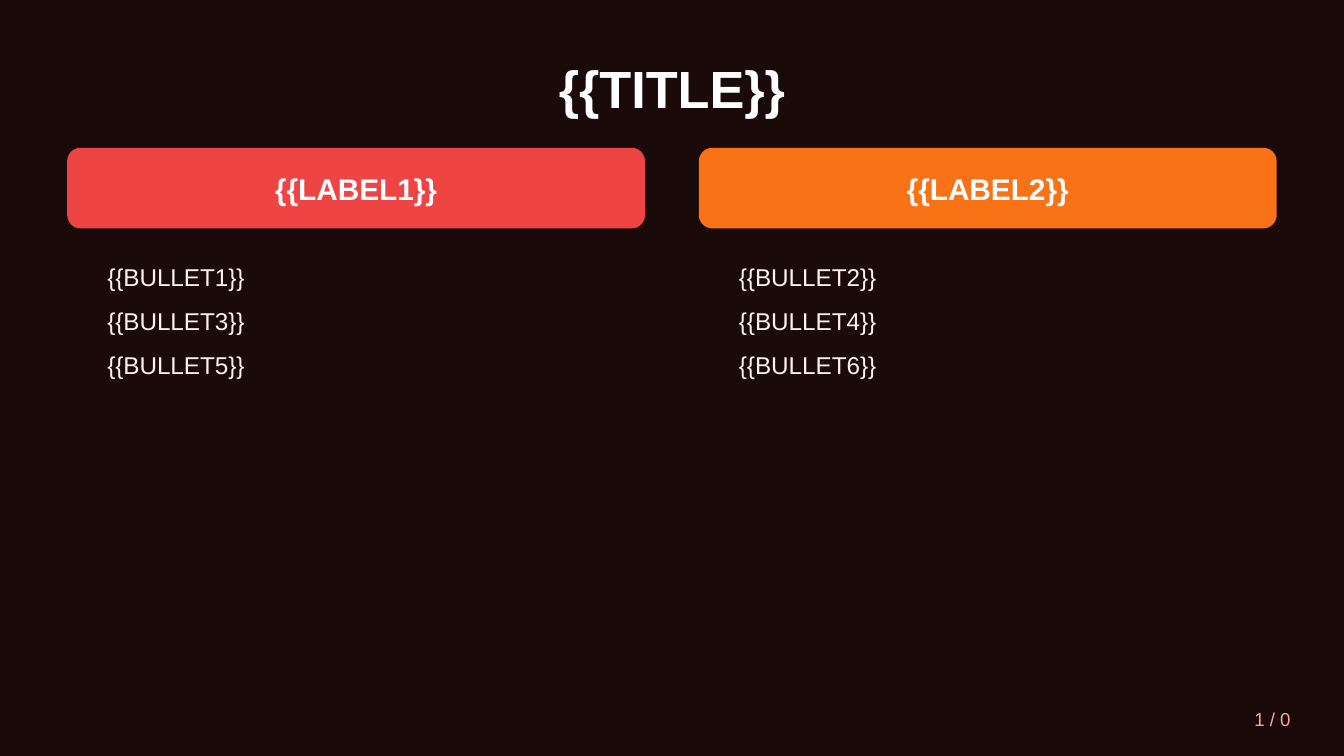
"""Build a two-column comparison slide with a title, labelled headers and lists."""
import pptx
import pptx.dml.color
import pptx.enum.shapes
import pptx.enum.text
import pptx.util

Pt = pptx.util.Pt
RGBColor = pptx.dml.color.RGBColor
Align = pptx.enum.text.PP_ALIGN
Anchor = pptx.enum.text.MSO_ANCHOR

BACKGROUND = RGBColor(0x1A, 0x0A, 0x0A)
WHITE = RGBColor(0xFF, 0xFF, 0xFF)
RED = RGBColor(0xEF, 0x44, 0x44)
ORANGE = RGBColor(0xF9, 0x73, 0x16)
PALE = RGBColor(0xFE, 0xF2, 0xF2)
PINK = RGBColor(0xFC, 0xA5, 0xA5)

TITLE = "{{TITLE}}"
COLUMNS = [
    ("{{LABEL1}}", RED, ["{{BULLET1}}", "{{BULLET3}}", "{{BULLET5}}"]),
    ("{{LABEL2}}", ORANGE, ["{{BULLET2}}", "{{BULLET4}}", "{{BULLET6}}"]),
]
PAGE_NUMBER = "1 / 0"

PAGE_WIDTH, PAGE_HEIGHT = 720, 405
MARGIN = 36
GUTTER = 28.8
INDENT = 14.4
CONTENT_WIDTH = PAGE_WIDTH - 2 * MARGIN
COLUMN_WIDTH = (CONTENT_WIDTH - GUTTER * (len(COLUMNS) - 1)) / len(COLUMNS)


def write(shape, lines, size, color, bold=False, align=Align.LEFT,
          anchor=Anchor.MIDDLE, space_after=0):
    """Fill a shape with one formatted paragraph per line."""
    frame = shape.text_frame
    frame.word_wrap = True
    frame.vertical_anchor = anchor
    for index, line in enumerate(lines):
        para = frame.add_paragraph() if index else frame.paragraphs[0]
        para.alignment = align
        para.space_after = Pt(space_after)
        span = para.add_run()
        span.text = line
        span.font.name = "Arial"
        span.font.size = Pt(size)
        span.font.bold = bold
        span.font.color.rgb = color


def add_text(page, lines, left, top, width, height, **style):
    """Place a text box on the page."""
    box = page.shapes.add_textbox(Pt(left), Pt(top), Pt(width), Pt(height))
    write(box, lines, **style)


def add_header(page, label, fill, left):
    """Place a rounded column header holding its label."""
    header = page.shapes.add_shape(
        pptx.enum.shapes.MSO_SHAPE.ROUNDED_RECTANGLE,
        Pt(left), Pt(79.2), Pt(COLUMN_WIDTH), Pt(43.2))
    header.shadow.inherit = False
    header.fill.solid()
    header.fill.fore_color.rgb = fill
    header.line.fill.background()
    write(header, [label], size=16, color=WHITE, bold=True, align=Align.CENTER)


def main():
    """Assemble and save the deck."""
    deck = pptx.Presentation()
    deck.slide_width, deck.slide_height = Pt(PAGE_WIDTH), Pt(PAGE_HEIGHT)
    page = deck.slides.add_slide(deck.slide_layouts[6])
    page.background.fill.solid()
    page.background.fill.fore_color.rgb = BACKGROUND

    add_text(page, [TITLE], MARGIN, 21.6, CONTENT_WIDTH, 50.4,
             size=28, color=WHITE, bold=True, align=Align.CENTER)
    for index, (label, fill, bullets) in enumerate(COLUMNS):
        left = MARGIN + index * (COLUMN_WIDTH + GUTTER)
        add_header(page, label, fill, left)
        add_text(page, bullets, left + INDENT, 136.8,
                 COLUMN_WIDTH - 2 * INDENT, 201.6,
                 size=13, color=PALE, anchor=Anchor.TOP, space_after=8)
    add_text(page, [PAGE_NUMBER], 612, 374.4, 86.4, 21.6,
             size=10, color=PINK, align=Align.RIGHT)
    deck.save("out.pptx")


if __name__ == "__main__":
    main()
